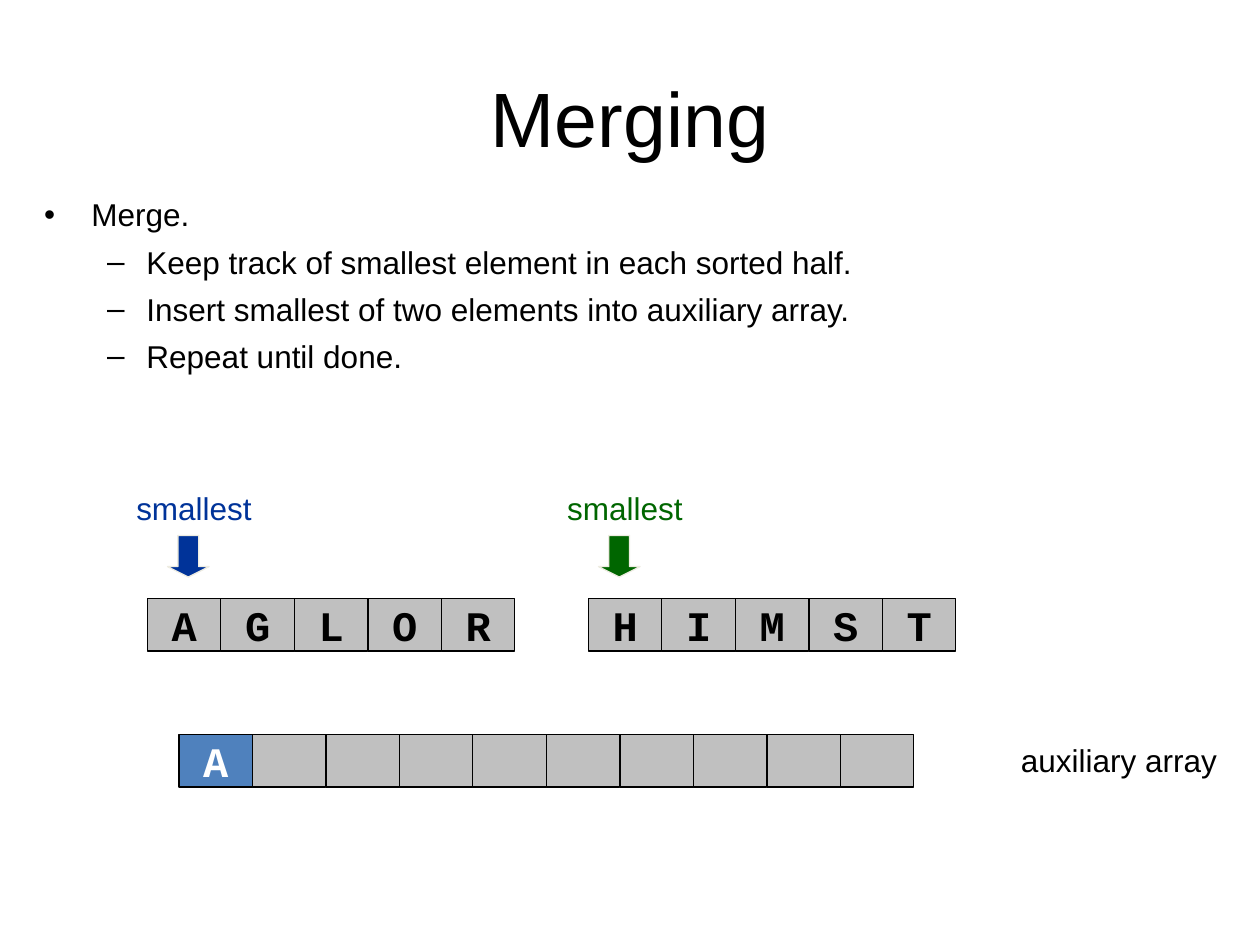
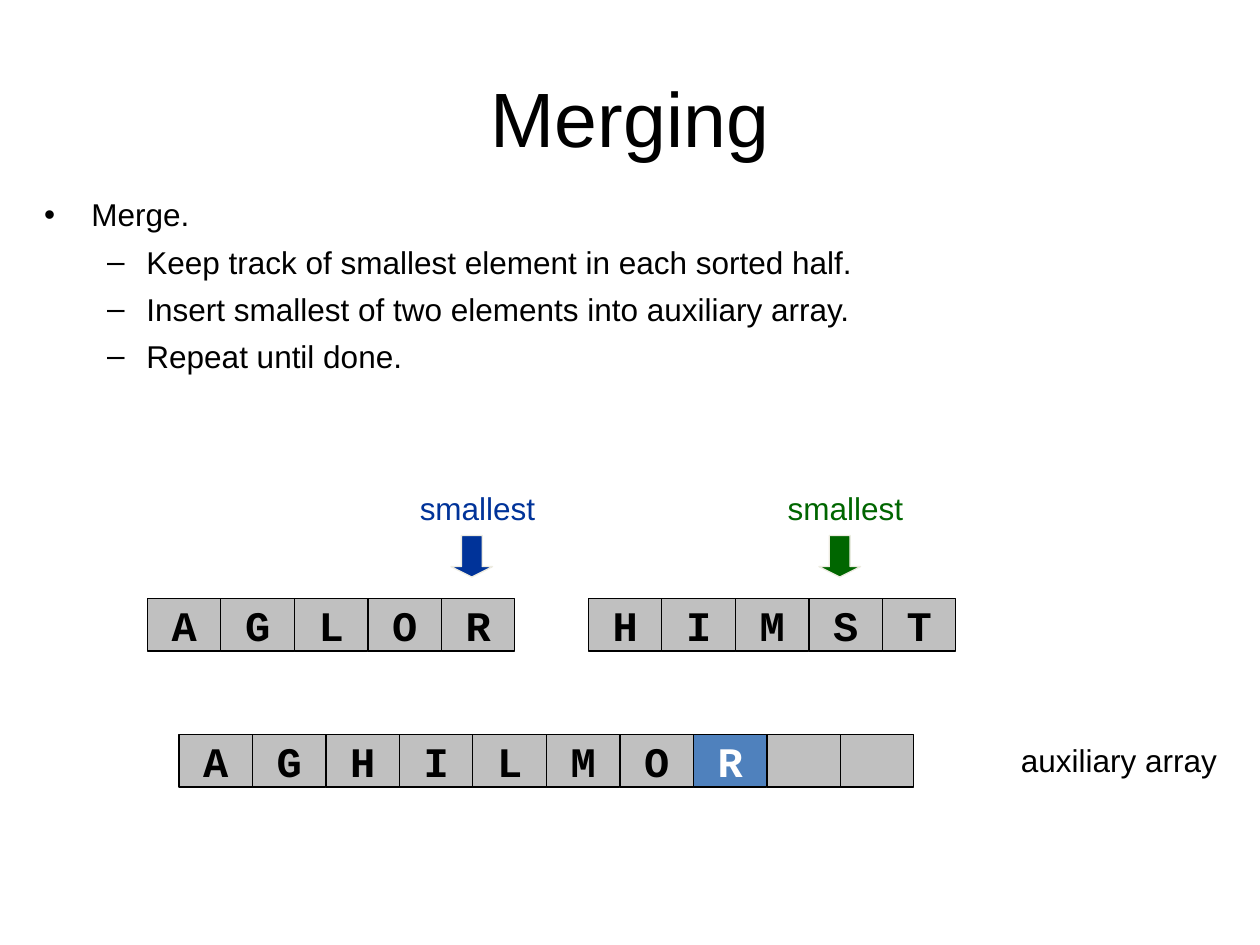
from dataclasses import dataclass
from typing import Any

import pptx
import pptx.dml.color
import pptx.enum.shapes
import pptx.enum.text
import pptx.util

Inches = pptx.util.Inches
Pt = pptx.util.Pt
Shape = pptx.enum.shapes.MSO_SHAPE
Align = pptx.enum.text.PP_ALIGN
Anchor = pptx.enum.text.MSO_ANCHOR
AutoSize = pptx.enum.text.MSO_AUTO_SIZE

COLORS = {
    "text": "000000",
    "left half": "003399",
    "right half": "006600",
    "cell": "C0C0C0",
    "inserted": "4F81BD",
    "inserted text": "FFFFFF",
    "arrow line": "EEECE1",
}
TITLE_FONT = {"name": "Arial", "size": Pt(44)}
TEXT_FONT = {"name": "Arial", "size": Pt(18)}
CELL_FONT = {"name": "Courier New", "size": Pt(24), "bold": True}
CELL_FRAME = {"word_wrap": False, "vertical_anchor": Anchor.MIDDLE}
LABEL_FRAME = {"word_wrap": True, "auto_size": AutoSize.SHAPE_TO_FIT_TEXT}

CELL_WIDTH = 7 / 12
CELL_HEIGHT = 5 / 12
HALVES_TOP = 4.75
AUXILIARY_TOP = 5.83
AUXILIARY_SIZE = 10
STEPS = [
    ("Merge.", 0),
    ("Keep track of smallest element in each sorted half.", 1),
    ("Insert smallest of two elements into auxiliary array.", 1),
    ("Repeat until done.", 1),
]


@dataclass
class SortedHalf:
    letters: str
    left: float


@dataclass
class Pointer:
    left: float
    color: str


@dataclass
class MergeState:
    pointers: list[Pointer]
    merged: str  # the last letter is the one just inserted


HALVES = [SortedHalf("AGLOR", 1.17), SortedHalf("HIMST", 4.67)]
STATES = [
    MergeState([Pointer(0.5, "left half"), Pointer(3.92, "right half")], "A"),
    MergeState([Pointer(2.75, "left half"), Pointer(5.67, "right half")], "AGHILMOR"),
]


def apply_format(target: Any, values: dict[str, Any]) -> None:
    for name, value in values.items():
        setattr(target, name, value)


def rgb(color: str) -> pptx.dml.color.RGBColor:
    return pptx.dml.color.RGBColor.from_string(COLORS[color])


def write(paragraph: Any, text: str, font: dict[str, Any], color: str = "text") -> None:
    run = paragraph.add_run()
    run.text = text
    apply_format(run.font, font)
    run.font.color.rgb = rgb(color)


def paint(shape: Any, fill: str, line: str) -> None:
    shape.shadow.inherit = False
    shape.fill.solid()
    shape.fill.fore_color.rgb = rgb(fill)
    shape.line.color.rgb = rgb(line)
    shape.line.width = Pt(0.75)


def place(shape: Any, left: float, top: float, width: float, height: float) -> None:
    apply_format(shape, {"left": Inches(left), "top": Inches(top),
                         "width": Inches(width), "height": Inches(height)})


def draw_heading(slide: Any) -> None:
    title, body = slide.placeholders
    place(title, 0.5, 0.3, 9, 1.25)
    write(title.text_frame.paragraphs[0], "Merging", TITLE_FONT)

    place(body, 0.25, 1.5, 9, 4.95)
    frame = body.text_frame
    frame.auto_size = AutoSize.NONE
    for index, (text, level) in enumerate(STEPS):
        paragraph = frame.add_paragraph() if index else frame.paragraphs[0]
        apply_format(paragraph, {"level": level, "space_before": Pt(5.4 if index else 0)})
        write(paragraph, text, TEXT_FONT)


def draw_label(slide: Any, text: str, left: float, top: float, width: float,
               color: str = "text") -> None:
    label = slide.shapes.add_textbox(Inches(left), Inches(top), Inches(width), Inches(0.4))
    apply_format(label.text_frame, LABEL_FRAME)
    paragraph = label.text_frame.paragraphs[0]
    paragraph.alignment = Align.CENTER
    write(paragraph, text, TEXT_FONT, color)


def draw_pointer(slide: Any, pointer: Pointer) -> None:
    draw_label(slide, "smallest", pointer.left, 3.83, 2.08, pointer.color)
    arrow = slide.shapes.add_shape(Shape.DOWN_ARROW, Inches(pointer.left + 0.83),
                                   Inches(4.25), Inches(0.33), Inches(0.33))
    arrow.adjustments[0], arrow.adjustments[1] = 0.5, 0.25
    paint(arrow, pointer.color, "arrow line")


def draw_array(shapes: Any, letters: str, left: float, top: float, size: int,
               inserted: int | None = None) -> None:
    for index in range(size):
        cell = shapes.add_shape(Shape.RECTANGLE, Inches(left + index * CELL_WIDTH),
                                Inches(top), Inches(CELL_WIDTH), Inches(CELL_HEIGHT))
        fill, color = ("inserted", "inserted text") if index == inserted else ("cell", "text")
        paint(cell, fill, "text")
        if index < len(letters):
            apply_format(cell.text_frame, CELL_FRAME)
            paragraph = cell.text_frame.paragraphs[0]
            paragraph.alignment = Align.CENTER
            write(paragraph, letters[index], CELL_FONT, color)


def draw_state(slide: Any, state: MergeState) -> None:
    draw_heading(slide)
    for pointer in state.pointers:
        draw_pointer(slide, pointer)
    # Sorted halves, each a group of cells
    for half in HALVES:
        group = slide.shapes.add_group_shape()
        draw_array(group.shapes, half.letters, half.left, HALVES_TOP, len(half.letters))
    # Auxiliary array with its newest element highlighted
    draw_array(slide.shapes, state.merged, 1.42, AUXILIARY_TOP, AUXILIARY_SIZE,
               len(state.merged) - 1)
    draw_label(slide, "auxiliary array", 7.92, AUXILIARY_TOP, 1.92)


def main() -> None:
    presentation = pptx.Presentation()
    apply_format(presentation, {"slide_width": Inches(10), "slide_height": Inches(7.5)})
    title_and_content = presentation.slide_layouts[1]
    for state in STATES:
        draw_state(presentation.slides.add_slide(title_and_content), state)
    presentation.save("out.pptx")


if __name__ == "__main__":
    main()
